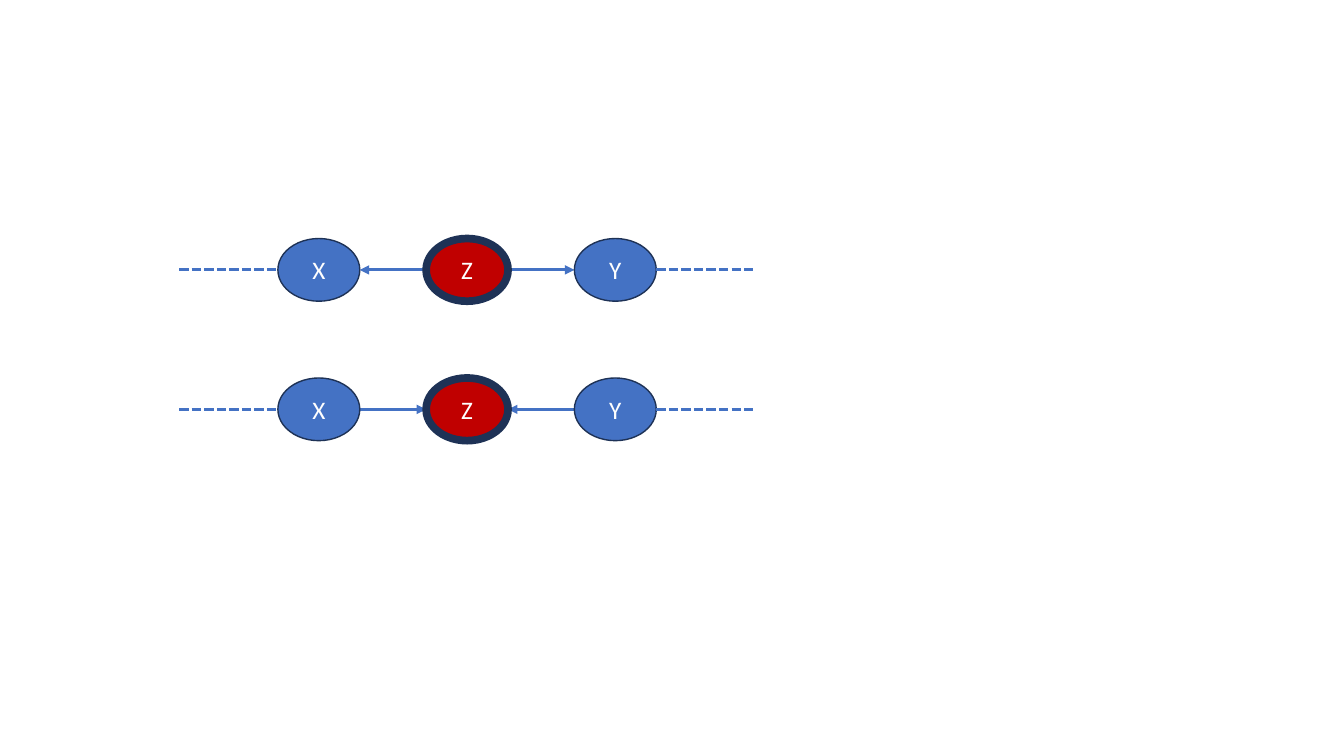
from dataclasses import dataclass

from lxml import etree
from pptx import Presentation
from pptx.dml.color import RGBColor
from pptx.enum.dml import MSO_LINE
from pptx.enum.shapes import MSO_CONNECTOR, MSO_SHAPE
from pptx.enum.text import MSO_ANCHOR, PP_ALIGN
from pptx.oxml.ns import qn
from pptx.util import Pt

STRAIGHT = MSO_CONNECTOR.STRAIGHT
OVAL = MSO_SHAPE.OVAL
DASHED = MSO_LINE.SQUARE_DOT
MIDDLE = MSO_ANCHOR.MIDDLE
CENTER = PP_ALIGN.CENTER


@dataclass(frozen=True)
class Theme:
    blue: RGBColor = RGBColor(0x44, 0x72, 0xC4)
    red: RGBColor = RGBColor(0xC0, 0x00, 0x00)
    navy: RGBColor = RGBColor(0x1E, 0x32, 0x56)
    white: RGBColor = RGBColor(0xFF, 0xFF, 0xFF)
    font: str = "Calibri"
    label_size: float = 18
    edge_width: float = 2.25
    outline: float = 1
    strong_outline: float = 5.5


THEME = Theme()
NODE_WIDTH = 58.5


def add_edge(parent, start, end, y, dashed=False):
    edge = parent.shapes.add_connector(STRAIGHT, Pt(start), Pt(y), Pt(end), Pt(y))
    edge.line.color.rgb = THEME.blue
    edge.line.width = Pt(THEME.edge_width)
    if dashed:
        edge.line.dash_style = DASHED
    else:
        arrowhead = etree.SubElement(edge.line._get_or_add_ln(), qn("a:tailEnd"))
        arrowhead.set("type", "triangle")
    etree.SubElement(edge._element.spPr, qn("a:effectLst"))


def add_node(parent, label, left, top, height, fill, outline):
    node = parent.shapes.add_shape(OVAL, Pt(left), Pt(top), Pt(NODE_WIDTH), Pt(height))
    node.shadow.inherit = False
    node.fill.solid()
    node.fill.fore_color.rgb = fill
    node.line.color.rgb = THEME.navy
    node.line.width = Pt(outline)
    node.text_frame.vertical_anchor = MIDDLE
    paragraph = node.text_frame.paragraphs[0]
    paragraph.alignment = CENTER
    run = paragraph.add_run()
    run.text = label
    letter_format = {"name": THEME.font, "size": Pt(THEME.label_size)}
    for attribute, value in letter_format.items():
        setattr(run.font, attribute, value)
    run.font.color.rgb = THEME.white


def add_causal_path(slide, left, top, width, height, outward):
    path_group = slide.shapes.add_group_shape()
    gap = 47.4
    pitch = NODE_WIDTH + gap
    right = left + width
    middle = top + height / 2
    x_left = left + (width - 2 * pitch - NODE_WIDTH) / 2
    z_left = x_left + pitch
    y_left = z_left + pitch

    for inner, outer in (
        (z_left + NODE_WIDTH, y_left),
        (z_left, x_left + NODE_WIDTH),
    ):
        start, end = (inner, outer) if outward else (outer, inner)
        add_edge(path_group, start, end, middle)

    for label, node_left, fill, outline in (
        ("X", x_left, THEME.blue, THEME.outline),
        ("Z", z_left, THEME.red, THEME.strong_outline),
        ("Y", y_left, THEME.blue, THEME.outline),
    ):
        add_node(path_group, label, node_left, top, height, fill, outline)

    add_edge(path_group, left, x_left, middle, dashed=True)
    add_edge(path_group, y_left + NODE_WIDTH, right, middle, dashed=True)


def main():
    presentation = Presentation()
    presentation.slide_width = Pt(960)
    presentation.slide_height = Pt(540)
    slide = presentation.slides.add_slide(presentation.slide_layouts[6])
    for row, outward in enumerate((True, False)):
        add_causal_path(slide, 128, 170.4 + row * 99.6, 411.3, 44.8, outward)
    presentation.save("out.pptx")


if __name__ == "__main__":
    main()
